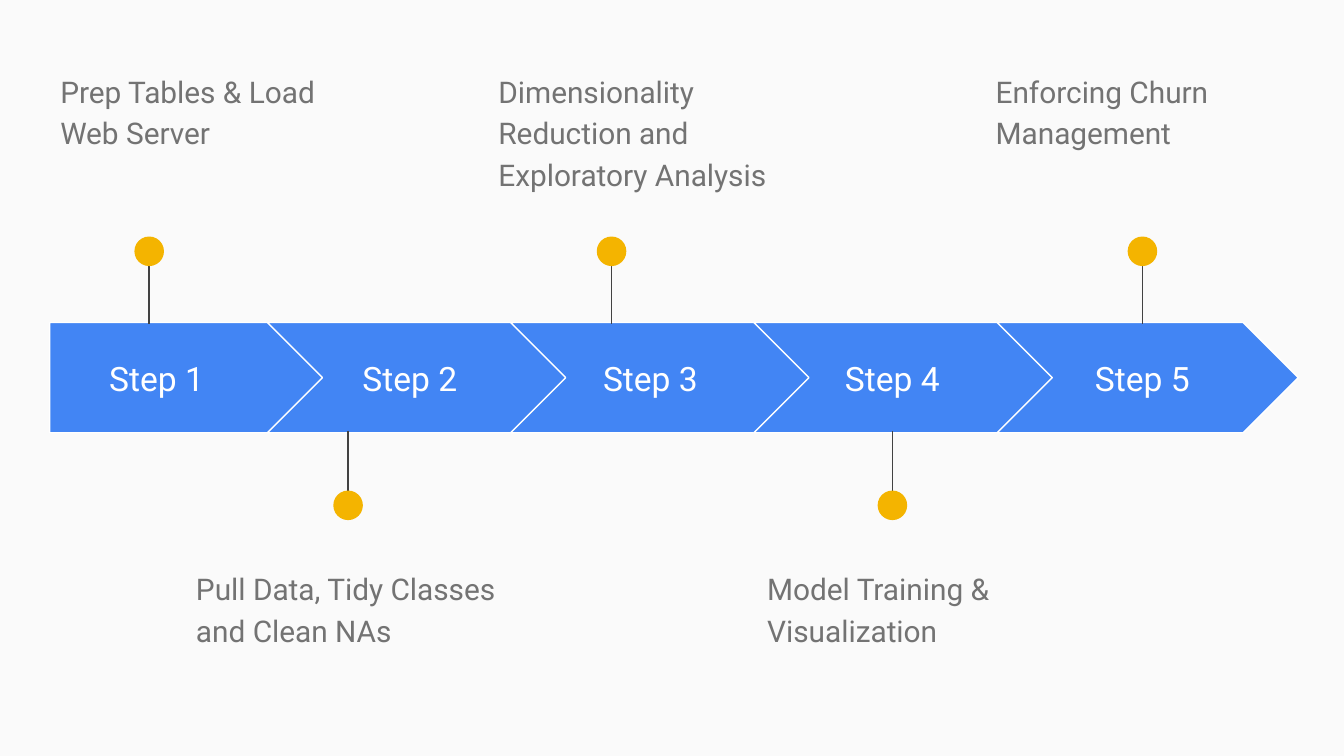
from lxml import etree
from pptx import Presentation
from pptx.dml.color import RGBColor
from pptx.enum.shapes import MSO_CONNECTOR, MSO_SHAPE
from pptx.enum.text import MSO_ANCHOR, PP_ALIGN
from pptx.oxml.ns import qn
from pptx.util import Inches, Pt

STRAIGHT = MSO_CONNECTOR.STRAIGHT
PENTAGON, CHEVRON, OVAL = MSO_SHAPE.PENTAGON, MSO_SHAPE.CHEVRON, MSO_SHAPE.OVAL
TOP, MIDDLE = MSO_ANCHOR.TOP, MSO_ANCHOR.MIDDLE
LEFT, CENTER = PP_ALIGN.LEFT, PP_ALIGN.CENTER

BACKGROUND = RGBColor(0xFA, 0xFA, 0xFA)
BLUE = RGBColor(0x42, 0x85, 0xF4)
YELLOW = RGBColor(0xF4, 0xB4, 0x00)
WHITE = RGBColor(0xFF, 0xFF, 0xFF)
DARK_GRAY = RGBColor(0x42, 0x42, 0x42)
GRAY = RGBColor(0x73, 0x73, 0x73)
FONT = "Roboto"

STEPS = [
    ("Step 1", 0.37, 1.59, 1.11, "Prep Tables & Load Web Server", 0.35),
    ("Step 2", 2.33, 1.44, 2.59, "Pull Data, Tidy Classes and Clean NAs", 1.36),
    ("Step 3", 4.12, 1.44, 4.55,
     "Dimensionality Reduction and Exploratory Analysis", 3.61),
    ("Step 4", 5.92, 1.44, 6.64, "Model Training & Visualization", 5.61),
    ("Step 5", 7.78, 1.44, 8.50, "Enforcing Churn Management", 7.31),
]

ARROW_TOP, ARROW_HEIGHT = 2.4, 0.82
FIRST_LEFT, FIRST_WIDTH = 0.37, 2.05
CHEVRON_LEFT, CHEVRON_WIDTH, CHEVRON_PITCH = 1.99, 2.24, 1.81
LABEL_TOP, LABEL_HEIGHT = 2.56, 0.51
DOT_SIZE = 0.22
DESCRIPTION_WIDTH, DESCRIPTION_HEIGHT = 2.45, 0.99
ABOVE = {"line": (1.8, 2.41), "dot_top": 1.76, "description_top": 0.41}
BELOW = {"line": (3.82, 3.21), "dot_top": 3.65, "description_top": 4.11}


def add_filled_shape(slide, kind, left, top, width, height, color):
    shape = slide.shapes.add_shape(
        kind, Inches(left), Inches(top), Inches(width), Inches(height))
    shape.shadow.inherit = False
    shape.fill.solid()
    shape.fill.fore_color.rgb = color
    shape.line.fill.background()
    return shape


def add_text(slide, text, left, top, width, height, size, color, anchor, align):
    box = slide.shapes.add_textbox(
        Inches(left), Inches(top), Inches(width), Inches(height))
    frame = box.text_frame
    frame.word_wrap = True
    frame.vertical_anchor = anchor
    frame.margin_left = frame.margin_right = Inches(0.1)
    frame.margin_top = frame.margin_bottom = Inches(0.1)
    paragraph = frame.paragraphs[0]
    paragraph.alignment = align
    run = paragraph.add_run()
    run.text = text
    run.font.name = FONT
    run.font.size = Pt(size)
    run.font.color.rgb = color
    return paragraph


def add_arrow(slide, index):
    if index == 0:
        kind, left, width = PENTAGON, FIRST_LEFT, FIRST_WIDTH
    else:
        kind, width = CHEVRON, CHEVRON_WIDTH
        left = CHEVRON_LEFT + (index - 1) * CHEVRON_PITCH
    arrow = add_filled_shape(
        slide, kind, left, ARROW_TOP, width, ARROW_HEIGHT, BLUE)
    arrow.adjustments[0] = 0.5
    arrow.line.color.rgb = WHITE
    arrow.line.width = Pt(0.75)


def add_marker(slide, center, side):
    start, end = side["line"]
    connector = slide.shapes.add_connector(
        STRAIGHT, Inches(center), Inches(start), Inches(center), Inches(end))
    connector.line.color.rgb = DARK_GRAY
    connector.line.width = Pt(0.75)
    etree.SubElement(connector._element.spPr, qn("a:effectLst"))
    add_filled_shape(slide, OVAL, center - DOT_SIZE / 2, side["dot_top"],
                     DOT_SIZE, DOT_SIZE, YELLOW)


def main():
    presentation = Presentation()
    presentation.slide_width = Inches(10)
    presentation.slide_height = Inches(10 * 9 / 16)
    slide = presentation.slides.add_slide(presentation.slide_layouts[6])
    slide.background.fill.solid()
    slide.background.fill.fore_color.rgb = BACKGROUND

    for index, step in enumerate(STEPS):
        label, label_left, label_width, center, description, description_left = step
        side = BELOW if index % 2 else ABOVE
        add_arrow(slide, index)
        add_text(slide, label, label_left, LABEL_TOP, label_width, LABEL_HEIGHT,
                 18, WHITE, MIDDLE, CENTER)
        add_marker(slide, center, side)
        paragraph = add_text(
            slide, description, description_left, side["description_top"],
            DESCRIPTION_WIDTH, DESCRIPTION_HEIGHT, 16, GRAY, TOP, LEFT)
        paragraph.line_spacing = 1.15
        paragraph.space_after = Pt(16)

    presentation.save("out.pptx")


if __name__ == "__main__":
    main()
